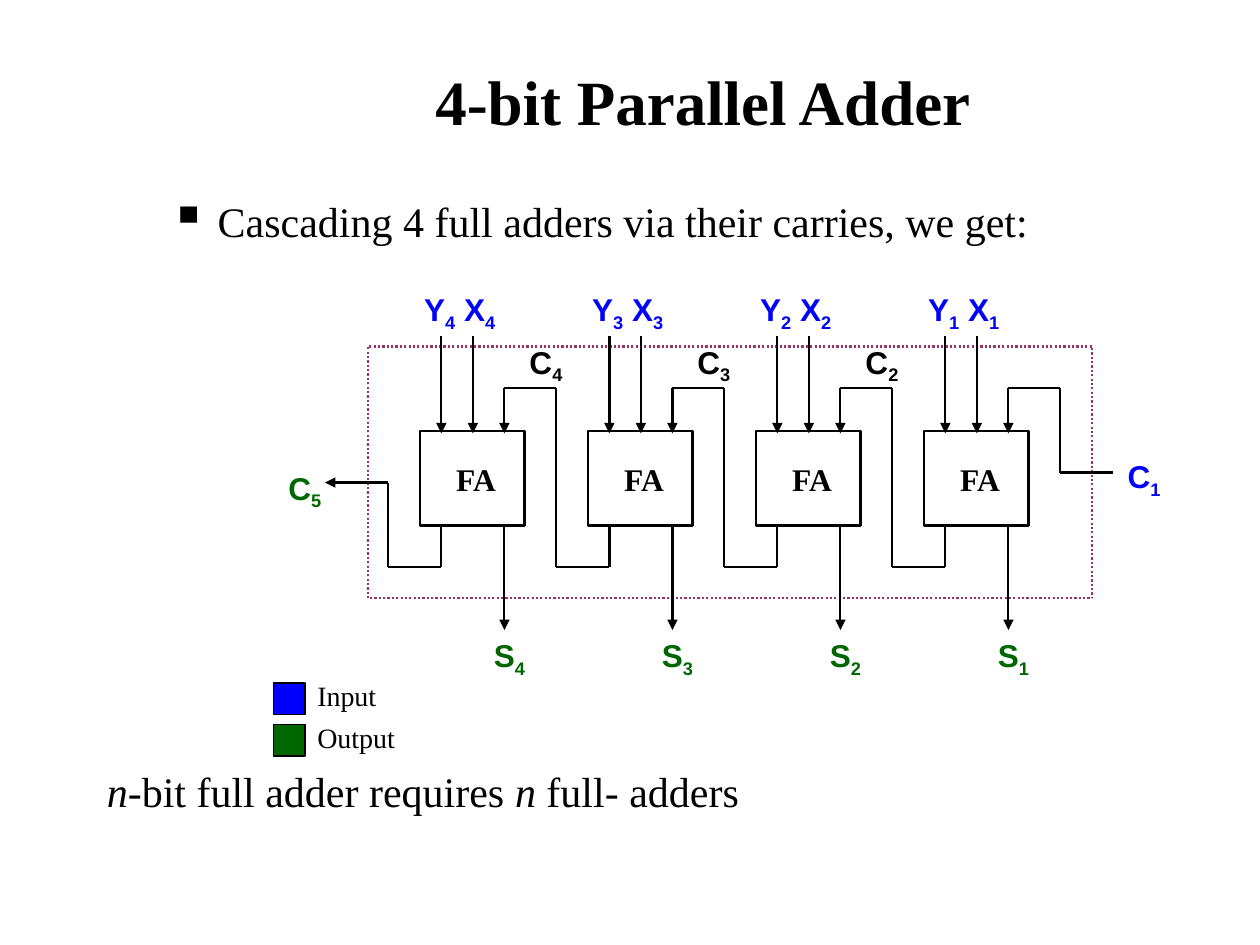
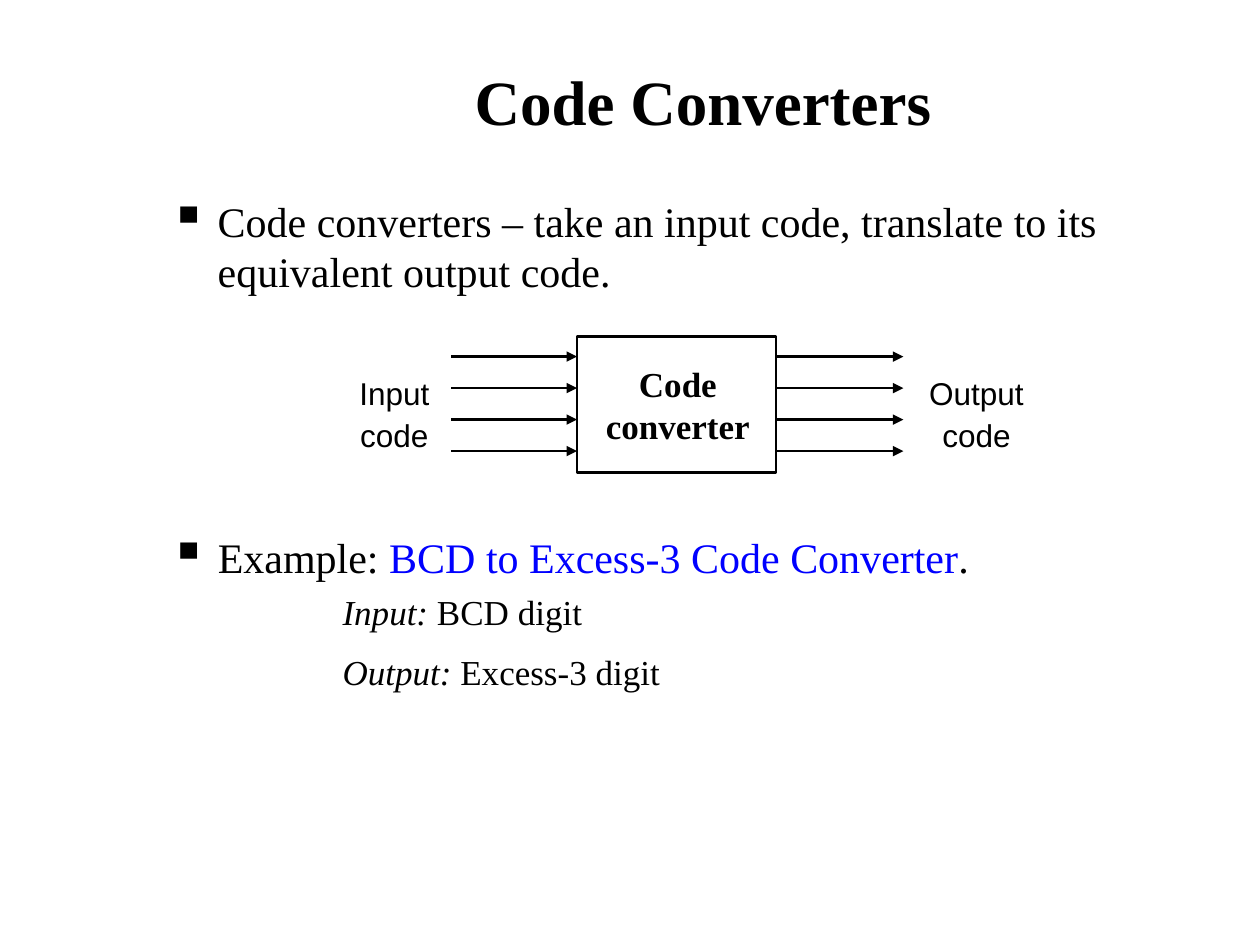
"""Build two slides on a 4-bit parallel adder and code converters."""
from dataclasses import dataclass
from itertools import pairwise

from lxml.etree import SubElement
from pptx import Presentation
from pptx.dml.color import RGBColor
from pptx.enum.dml import MSO_LINE
from pptx.enum.shapes import MSO_CONNECTOR, MSO_SHAPE
from pptx.enum.text import MSO_ANCHOR, PP_ALIGN
from pptx.oxml.ns import qn
from pptx.util import Inches, Pt


@dataclass(frozen=True)
class Theme:
    black: str = "000000"
    input: str = "0000FF"
    output: str = "006600"
    frame: str = "993366"
    serif: str = "Times New Roman"
    sans: str = "Arial"
    title: int = 36
    body: int = 24
    detail: int = 20
    label: int = 18
    legend: int = 16
    wire: float = 1.25
    box: float = 1.5
    swatch: float = 0.75


theme = Theme()
italic = {"italic": True}
sub = {"sub": True}


def write(page, at, *paragraphs, font=theme.serif, anchor=MSO_ANCHOR.TOP, **shared):
    box = page.shapes.add_textbox(*map(Inches, at))
    frame = box.text_frame
    frame.word_wrap = True
    frame.vertical_anchor = anchor
    for number, (spans, own) in enumerate(paragraphs):
        look = {"size": theme.label, "color": theme.black, **shared, **own}
        para = frame.add_paragraph() if number else frame.paragraphs[0]
        para.alignment = look.get("align", PP_ALIGN.LEFT)
        para.space_before = Pt(look.get("before", 0))
        properties = para._p.get_or_add_pPr()
        if "indent" in look:
            properties.set("marL", str(Inches(look["indent"])))
        if look.get("bullet"):
            properties.set("marL", str(Inches(0.38)))
            properties.set("indent", str(Inches(-0.38)))
            color = SubElement(properties, qn("a:buClr"))
            SubElement(color, qn("a:srgbClr"), val=theme.black)
            SubElement(properties, qn("a:buSzPct"), val="120000")
            SubElement(properties, qn("a:buChar"), char="▪")
        for text, change in spans:
            style = {**look, **change}
            span = para.add_run()
            span.text = text
            span.font.name = font
            span.font.size = Pt(style["size"])
            span.font.bold = style.get("bold", False)
            span.font.italic = style.get("italic", False)
            span.font.color.rgb = RGBColor.from_string(style["color"])
            if style.get("sub"):
                span._r.get_or_add_rPr().set("baseline", "-25000")


def wire(page, *points, arrow=True):
    for start, end in pairwise(points):
        line = page.shapes.add_connector(
            MSO_CONNECTOR.STRAIGHT, *map(Inches, (*start, *end)))
        line.line.color.rgb = RGBColor.from_string(theme.black)
        line.line.width = Pt(theme.wire)
        SubElement(line._element.spPr, qn("a:effectLst"))
        if arrow and end == points[-1]:
            SubElement(line.line._get_or_add_ln(), qn("a:tailEnd"), type="triangle")


deck = Presentation()
deck.slide_width, deck.slide_height = Inches(10), Inches(7.5)
pages = []
for title in ("4-bit Parallel Adder", "Code Converters"):
    page = deck.slides.add_slide(deck.slide_layouts[6])
    write(page, (1.33, 0.17, 8.5, 1.25), ([(title, {})], {}), size=theme.title,
          bold=True, align=PP_ALIGN.CENTER, anchor=MSO_ANCHOR.MIDDLE)
    pages.append(page)
adder, converter = pages

pitch = 4 / 3
stages = [(4 - i, 10 / 3 + i * pitch) for i in range(4)]
legend = [("Input", theme.input, 5.42), ("Output", theme.output, 5.75)]

boxes = [(adder, (left, 3.42, 0.83, 0.75), None, theme.black, theme.box, None)
         for _, left in stages]
boxes += [(adder, (2.17, top, 0.25, 0.25), color, theme.black, theme.swatch, None)
          for _, color, top in legend]
boxes += [
    (adder, (2.92, 2.75, 5.75, 2), None, theme.frame, theme.wire, MSO_LINE.ROUND_DOT),
    (converter, (4.58, 2.67, 1.58, 1.08), None, theme.black, theme.box, None),
]
for page, at, fill, color, width, dash in boxes:
    box = page.shapes.add_shape(MSO_SHAPE.RECTANGLE, *map(Inches, at))
    box.shadow.inherit = False
    if fill:
        box.fill.solid()
        box.fill.fore_color.rgb = RGBColor.from_string(fill)
    else:
        box.fill.background()
    box.line.color.rgb = RGBColor.from_string(color)
    box.line.width = Pt(width)
    if dash:
        box.line.dash_style = dash

write(adder, (1.25, 1.5, 8.5, 0.5),
      ([("Cascading 4 full adders via their carries, we get:", {})], {}),
      size=theme.body, before=6, bullet=True)

label = {"bold": True, "align": PP_ALIGN.CENTER, "before": 2.2}
signals = [("C", 5, 2.17, 3.67, theme.output), ("C", 1, 8.83, 3.58, theme.input)]
for bit, left in stages:
    index = (str(bit), sub)
    write(adder, (left - 0.16, 2.25, 0.95, 0.44),
          ([("Y", {}), index, (" X", {}), index], {}),
          font=theme.sans, color=theme.input, **label)
    write(adder, (left + 0.11, 3.6, 0.67, 0.4), ([("FA", {})], {}), **label)
    signals.append(("S", bit, left + 0.46, 5, theme.output))
    for offset in (0.17, 0.42):
        wire(adder, (left + offset, 2.67), (left + offset, 3.44))
    wire(adder, (left + 0.67, 4.17), (left + 0.67, 5))

    lane, entry = left + 1.08, left + 0.67
    if bit > 1:
        signals.append(("C", bit, left + 0.75, 2.67, theme.black))
        source = left + pitch + 0.17
        route = [(source, 4.17), (source, 4.5), (lane, 4.5)]
    else:
        route = [(8.83, 3.75), (lane, 3.75)]
    wire(adder, *route, (lane, 3.08), (entry, 3.08), (entry, 3.44))
wire(adder, (3.5, 4.17), (3.5, 4.5), (3.08, 4.5), (3.08, 3.83), (2.58, 3.83))

for name, bit, left, top, color in signals:
    write(adder, (left, top, 0.5, 0.44), ([(name, {}), (str(bit), sub)], {}),
          font=theme.sans, color=color, **label)
for name, _, top in legend:
    write(adder, (2.42, top - 0.08, 1, 0.37), ([(name, {})], {}),
          size=theme.legend, before=10)
write(adder, (0.75, 6.03, 9, 0.5),
      ([("n", italic), ("-bit full adder requires ", {}), ("n", italic),
        (" full- adders", {})], {}), size=theme.body)

write(converter, (1.25, 1.5, 8.5, 1),
      ([("Code converters – take an input code, translate to its equivalent "
         "output code.", {})], {}), size=theme.body, before=6, bullet=True)
write(converter, (4.67, 2.83, 1.42, 0.77),
      ([("Code", {})], {}), ([("converter", {})], {}),
      size=theme.detail, bold=True, align=PP_ALIGN.CENTER)
for name, left, width, start in (("Input", 2.67, 0.92, 3.58), ("Output", 7.25, 1, 6.17)):
    write(converter, (left, 2.92, width, 0.73),
          ([(name, {})], {}), ([("code", {})], {}),
          font=theme.sans, align=PP_ALIGN.CENTER, before=2.2)
    for row in range(4):
        height = 2.83 + 0.25 * row
        wire(converter, (start, height), (start + 1, height))

detail = {"size": theme.detail, "indent": 1.37}
write(converter, (1.25, 4.17, 8.42, 1.5),
      ([("Example: ", {}), ("BCD to Excess-3 Code Converter", {"color": theme.input}),
        (".", {})], {"size": theme.body, "bullet": True}),
      ([("Input:", italic), (" BCD digit", {})], {**detail, "before": 5}),
      ([("Output:", italic), (" Excess-3 digit", {})], {**detail, "before": 10}),
      before=6)

deck.save("out.pptx")
